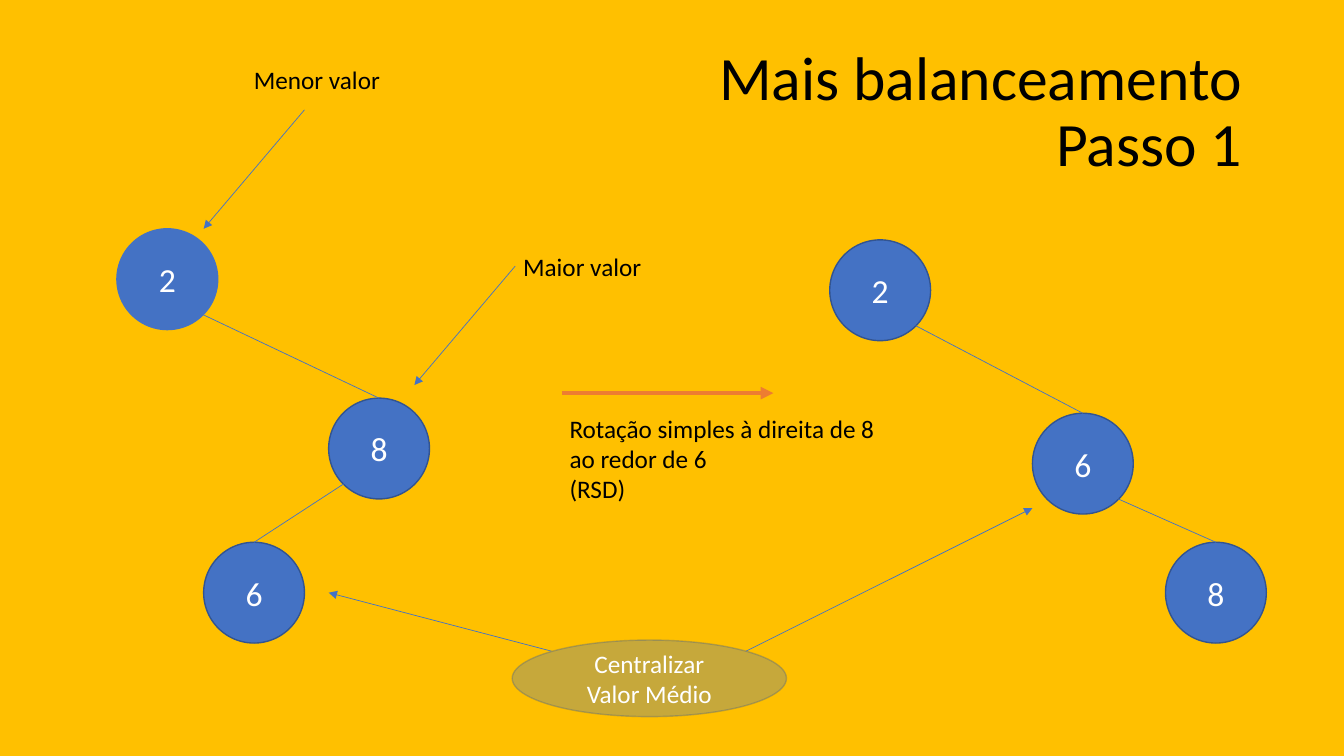
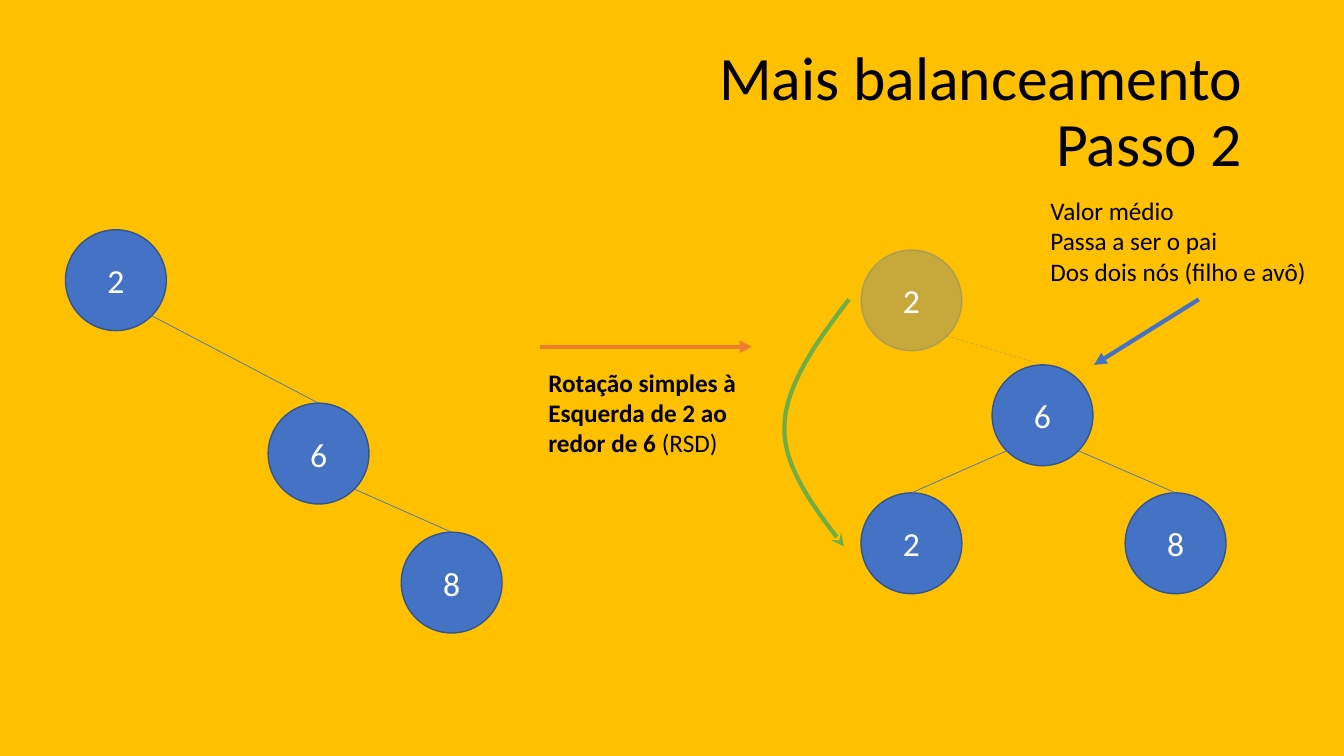
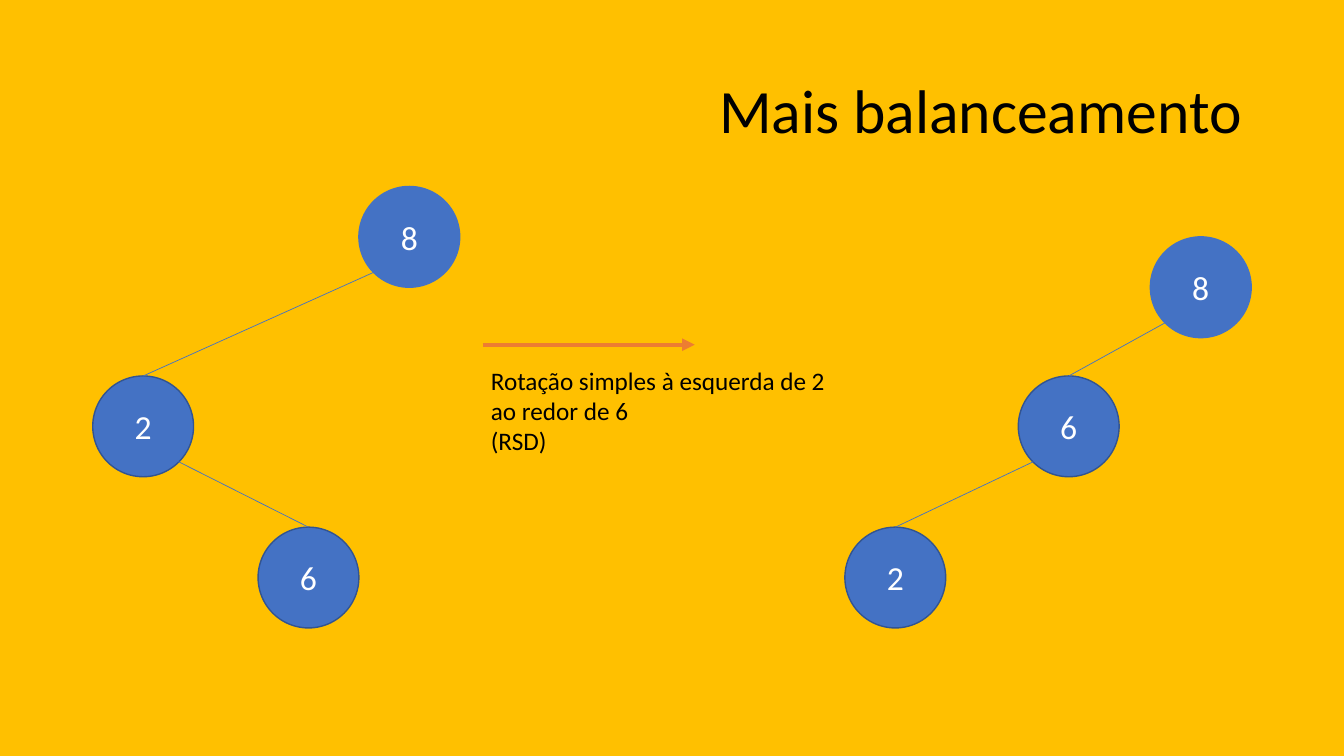
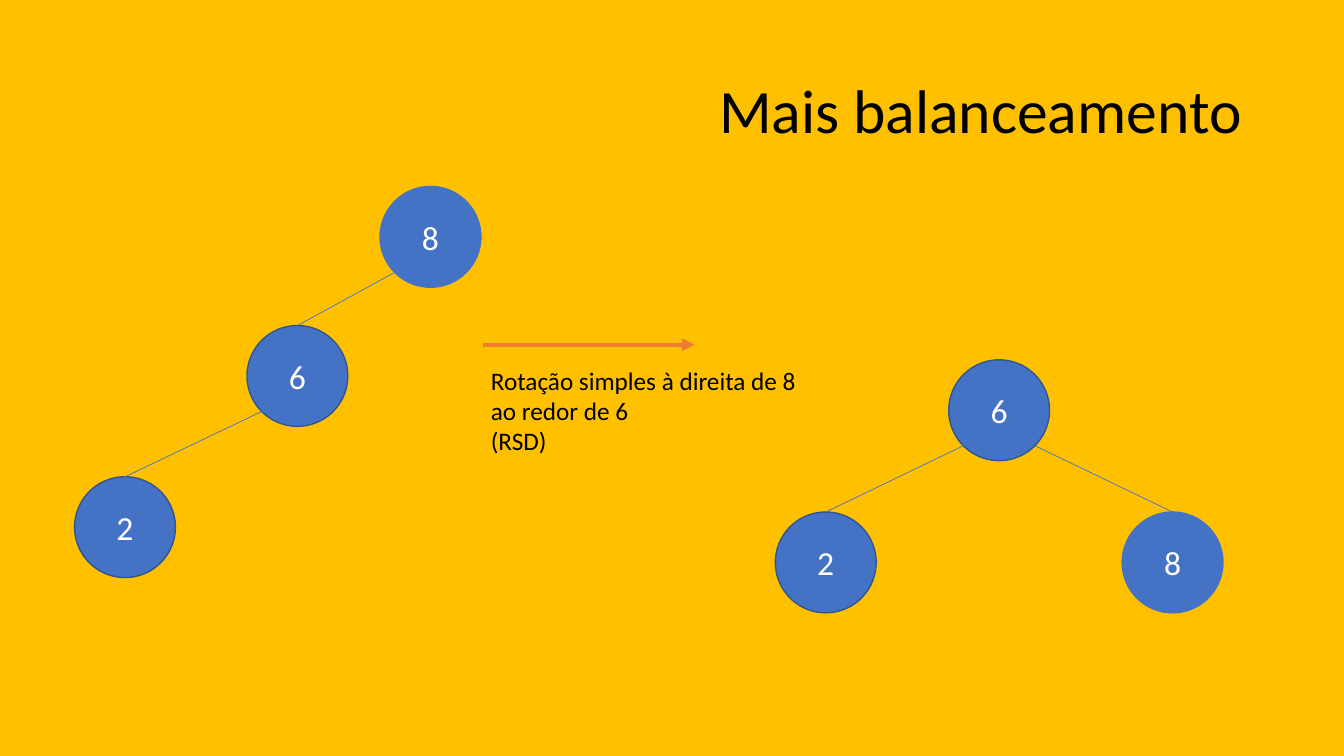
from dataclasses import dataclass

from lxml.etree import SubElement
from pptx import Presentation
from pptx.dml.color import RGBColor
from pptx.enum.dml import MSO_LINE
from pptx.enum.shapes import MSO_CONNECTOR, MSO_SHAPE
from pptx.enum.text import MSO_ANCHOR, MSO_AUTO_SIZE, PP_ALIGN
from pptx.oxml.ns import qn
from pptx.util import Inches, Pt


@dataclass(frozen=True)
class Theme:
    font: str = "Calibri"
    back: RGBColor = RGBColor(0xFF, 0xC0, 0x00)
    blue: RGBColor = RGBColor(0x44, 0x72, 0xC4)
    rim: RGBColor = RGBColor(0x32, 0x54, 0x91)
    orange: RGBColor = RGBColor(0xED, 0x7D, 0x31)
    green: RGBColor = RGBColor(0x70, 0xAD, 0x47)
    black: RGBColor = RGBColor(0, 0, 0)
    white: RGBColor = RGBColor(0xFF, 0xFF, 0xFF)
    title: Pt = Pt(44)
    node: Pt = Pt(24)
    body: Pt = Pt(18)
    thin: Pt = Pt(0.5)
    edge: Pt = Pt(1)
    bold: Pt = Pt(3)
    alpha: str = "30000"


theme = Theme()

# Look of an oval: rim colour, faded, width, height, text size
looks = {
    "dark": (theme.rim, False, 1, 1, theme.node),
    "plain": (theme.blue, False, 1, 1, theme.node),
    "ghost": (theme.blue, True, 1, 1, theme.node),
    "label": (theme.rim, True, 2.72, 0.76, theme.body),
}

# nodes: lines, left, top, look, index of the parent
# step: left and top of the rotation arrow, width of its caption, lines
# notes: left, top, width, height, lines
# hints: start, end, width of an arrow
slides = [
    {
        "title": "Mais balanceamento\vPasso 1",
        "nodes": [
            (["2"], 1.16, 2.27, "plain", None),
            (["8"], 3.26, 3.95, "dark", 0),
            (["6"], 2.02, 5.38, "dark", 1),
            (["2"], 8.23, 2.38, "dark", None),
            (["6"], 10.24, 4.1, "dark", 3),
            (["8"], 11.56, 5.38, "dark", 4),
            (["Centralizar", "Valor Médio"], 5.08, 6.35, "label", None),
        ],
        "step": (5.55, 3.9, 3.32,
                 ["Rotação simples à direita de 8", "ao redor de 6", "(RSD)"]),
        "notes": [
            (2.42, 0.59, 1.47, 0.4, ["Menor valor"]),
            (5.09, 2.44, 1.39, 0.4, ["Maior valor"]),
        ],
        "hints": [
            ((3.02, 1.09), (2.02, 2.27), theme.thin),
            ((5.11, 2.64), (4.11, 3.82), theme.thin),
            ((5.47, 6.46), (3.26, 5.88), theme.thin),
            ((7.4, 6.46), (10.24, 5.04), theme.thin),
        ],
    },
    {
        "title": "Mais balanceamento\vPasso 2",
        "nodes": [
            (["2"], 0.65, 2.28, "dark", None),
            (["6"], 2.66, 4, "dark", 0),
            (["8"], 3.98, 5.28, "dark", 1),
            (["2"], 8.54, 2.48, "ghost", None),
            (["6"], 9.84, 3.62, "dark", 3),
            (["2"], 8.54, 4.89, "dark", 4),
            (["8"], 11.16, 4.89, "dark", 4),
        ],
        "step": (5.34, 3.44, 2.08,
                 [("Rotação simples à",), ("Esquerda de 2 ao",),
                  ("redor de 6", " (RSD)")]),
        "notes": [
            (10.32, 1.89, 2.77, 1.01,
             ["Valor médio", "Passa a ser o pai", "Dos dois nós (filho e avô)"]),
        ],
        "hints": [((11.89, 2.97), (10.85, 3.62), theme.bold)],
        "curve": [
            ((8.42, 2.97), (8.1, 3.39), (7.79, 3.82), (7.78, 4.23)),
            ((7.78, 4.23), (7.77, 4.64), (8.07, 5.03), (8.37, 5.42)),
        ],
    },
    {
        "title": "Mais balanceamento",
        "nodes": [
            (["8"], 3.56, 1.85, "plain", None),
            (["2"], 0.92, 3.73, "dark", 0),
            (["6"], 2.56, 5.23, "dark", 1),
            (["8"], 11.41, 2.35, "plain", None),
            (["6"], 10.1, 3.73, "dark", 3),
            (["2"], 8.38, 5.23, "dark", 4),
        ],
        "step": (4.77, 3.42, 3.61,
                 ["Rotação simples à esquerda de 2", "ao redor de 6", "(RSD)"]),
    },
    {
        "title": "Mais balanceamento",
        "nodes": [
            (["8"], 3.77, 1.85, "plain", None),
            (["6"], 2.45, 3.23, "dark", 0),
            (["2"], 0.74, 4.73, "dark", 1),
            (["6"], 9.41, 3.57, "dark", None),
            (["2"], 7.69, 5.08, "dark", 3),
            (["8"], 11.13, 5.08, "plain", 3),
        ],
        "step": (4.77, 3.42, 3.32,
                 ["Rotação simples à direita de 8", "ao redor de 6", "(RSD)"]),
    },
]


def write(frame, lines, size, color, **layout):
    """Fill a frame; in a line given as a tuple the first part is bold."""
    for i, line in enumerate(lines):
        para = frame.paragraphs[0] if i == 0 else frame.add_paragraph()
        parts = line if isinstance(line, tuple) else (line,)
        para.text = parts[0]
        for part in parts[1:]:
            para.add_run().text = part
        for key, value in layout.items():
            setattr(para, key, value)
        for j, run in enumerate(para.runs):
            bold = isinstance(line, tuple) and j == 0
            look = {"name": theme.font, "size": size, "bold": bold}
            for key, value in look.items():
                setattr(run.font, key, value)
            run.font.color.rgb = color


def stroke(shape, color, width, head=None, dash=None):
    """Style an open line, without a shadow."""
    shape.line.color.rgb = color
    shape.line.width = width
    if dash:
        shape.line.dash_style = dash
    props = shape._element.spPr
    if head:
        SubElement(props.find(qn("a:ln")), qn("a:tailEnd"), type=head)
    SubElement(props, qn("a:effectLst"))


deck = Presentation()
deck.slide_width, deck.slide_height = Inches(13.33), Inches(7.5)
ground = deck.slide_master.background.fill
ground.solid()
ground.fore_color.rgb = theme.back

for data in slides:
    shapes = deck.slides.add_slide(deck.slide_layouts[6]).shapes
    faded = []

    frame = shapes.add_textbox(
        Inches(0.92), Inches(0.4), Inches(11.5), Inches(1.45)).text_frame
    frame.word_wrap = True
    frame.vertical_anchor = MSO_ANCHOR.MIDDLE
    write(frame, [data["title"]], theme.title, theme.black,
          alignment=PP_ALIGN.RIGHT, line_spacing=0.9)

    links = []
    for lines, x, y, look, parent in data["nodes"]:
        rim, fade, w, h, size = looks[look]
        oval = shapes.add_shape(
            MSO_SHAPE.OVAL, Inches(x), Inches(y), Inches(w), Inches(h))
        oval.shadow.inherit = False
        oval.fill.solid()
        oval.fill.fore_color.rgb = theme.blue
        oval.line.color.rgb = rim
        oval.line.width = theme.edge
        oval.text_frame.vertical_anchor = MSO_ANCHOR.MIDDLE
        write(oval.text_frame, lines, size, theme.white,
              alignment=PP_ALIGN.CENTER)
        if fade:
            faded.append(oval)
        if parent is not None:
            _, left, top, kind, _ = data["nodes"][parent]
            side = 0.85 if x > left else 0.15
            dash = MSO_LINE.DASH if kind == "ghost" else None
            links.append(((left + side, top + 0.85), (x + 0.5, y),
                          theme.blue, theme.thin, None, dash))

    x, y, wide, lines = data["step"]
    links.append(((x + 0.02, y), (x + 2.12, y),
                  theme.orange, theme.bold, "triangle", None))
    for start, end, width in data.get("hints", []):
        links.append((start, end, theme.blue, width, "triangle", None))
    for start, end, color, width, head, dash in links:
        link = shapes.add_connector(
            MSO_CONNECTOR.STRAIGHT, *map(Inches, start + end))
        stroke(link, color, width, head, dash)
        if dash:
            faded.append(link)

    notes = [(x, y + 0.15, wide, 1.01, lines)] + data.get("notes", [])
    for *box, lines in notes:
        frame = shapes.add_textbox(*map(Inches, box)).text_frame
        frame.word_wrap = False
        frame.auto_size = MSO_AUTO_SIZE.SHAPE_TO_FIT_TEXT
        write(frame, lines, theme.body, theme.black)

    if "curve" in data:
        steps = 16
        dots = []
        for bend in data["curve"]:
            for i in range(1, steps + 1):
                t = i / steps
                rates = ((1 - t) ** 3, 3 * t * (1 - t) ** 2,
                         3 * t ** 2 * (1 - t), t ** 3)
                dots.append([Inches(sum(r * v for r, v in zip(rates, axis)))
                             for axis in zip(*bend)])
        pen = shapes.build_freeform(*map(Inches, data["curve"][0][0]))
        pen.add_line_segments(dots, close=False)
        curve = pen.convert_to_shape()
        curve.fill.background()
        stroke(curve, theme.green, theme.bold, "stealth")

    for shape in faded:
        for color in shape._element.spPr.iter(qn("a:srgbClr")):
            SubElement(color, qn("a:alpha"), val=theme.alpha)

deck.save("out.pptx")
